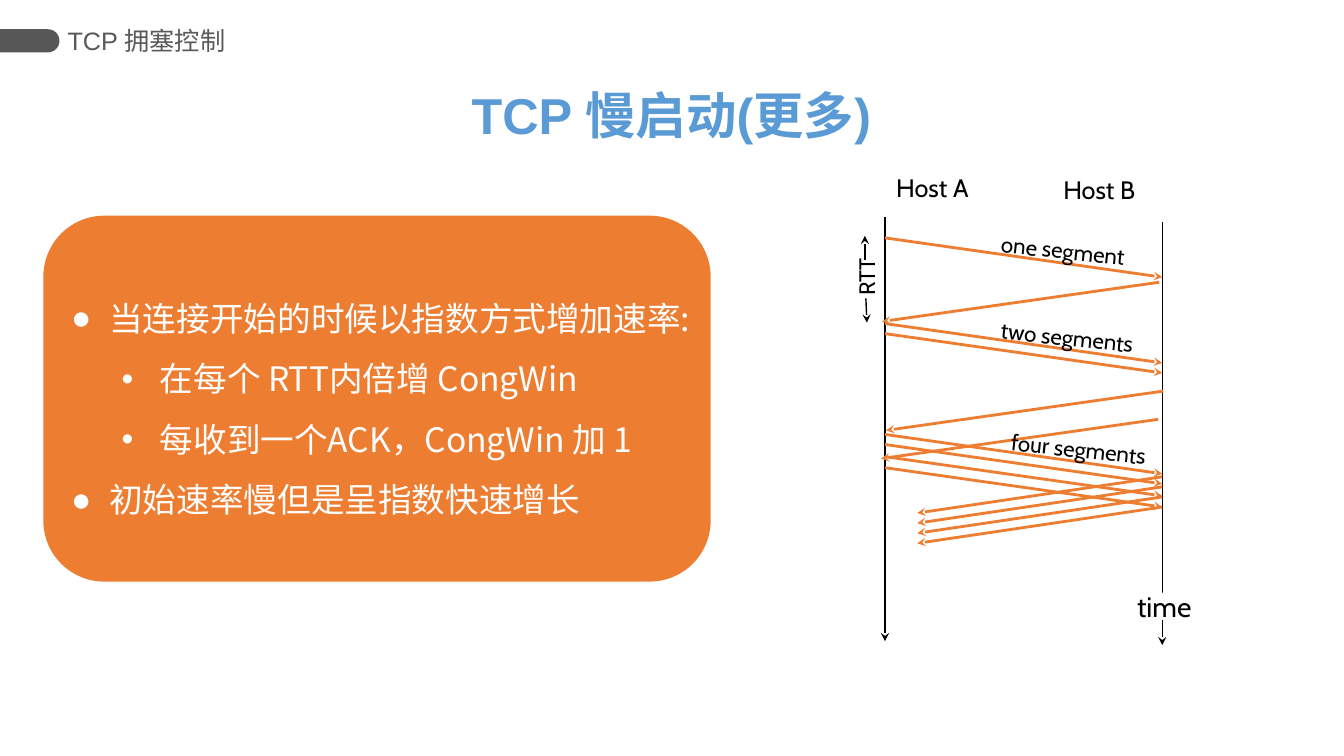
from dataclasses import dataclass

from lxml import etree
from pptx import Presentation
from pptx import util as u
from pptx.dml.color import RGBColor
from pptx.enum import shapes, text
from pptx.oxml import ns

# Grid: ten columns and ten rows to the inch
CELL = u.Inches(0.1)
COLUMNS, ROWS = 133.33, 75
HOST_A, HOST_B = 87.8, 115.3
SEGMENT_DROP, LAST_ACK_DROP = 3.9, 3.6

COLORS = {
    "pill": "575757", "header": "595959", "title": "5B9BD5",
    "accent": "ED7D31", "white": "FFFFFF", "black": "000000",
}


@dataclass
class Label:
    words: str
    left: float
    top: float
    width: float
    height: float
    size: int = 16
    rotation: int = 0


@dataclass
class Arrow:
    x1: float
    y1: float
    x2: float
    y2: float
    color: str = "accent"
    weight: float = 2


@dataclass
class Bullet:
    words: str
    mark: str = "●"
    level: int = 0
    margin: float = 0.38


def grid(cells: float) -> int:
    return round(cells * CELL)


def assign(target, values: dict) -> None:
    for name, value in values.items():
        setattr(target, name, value)


def place(shape, left: float, top: float, width: float, height: float) -> None:
    assign(shape, {"left": grid(left), "top": grid(top),
                   "width": grid(width), "height": grid(height)})


def style(font, name: str, size: int, color: str, bold: bool = False) -> None:
    assign(font, {"name": name, "size": u.Pt(size), "bold": bold})
    font.color.rgb = RGBColor.from_string(COLORS[color])


def add_block(page, preset, color: str, *bounds: float):
    block = page.shapes.add_shape(preset, *map(grid, bounds))
    block.shadow.inherit = False
    block.fill.solid()
    block.fill.fore_color.rgb = RGBColor.from_string(COLORS[color])
    block.line.fill.background()
    return block


def add_label(page, label: Label) -> None:
    box = page.shapes.add_textbox(*map(grid, (label.left, label.top, label.width, label.height)))
    box.rotation = label.rotation
    assign(box.text_frame, {"word_wrap": False, "auto_size": text.MSO_AUTO_SIZE.SHAPE_TO_FIT_TEXT})
    para = box.text_frame.paragraphs[0]
    para.alignment = text.PP_ALIGN.CENTER
    span = para.add_run()
    span.text = label.words
    style(span.font, "Cabin", label.size, "black")


def add_arrow(page, arrow: Arrow) -> None:
    line = page.shapes.add_connector(
        shapes.MSO_CONNECTOR.STRAIGHT, *map(grid, (arrow.x1, arrow.y1, arrow.x2, arrow.y2)))
    line.line.width = u.Pt(arrow.weight)
    line.line.color.rgb = RGBColor.from_string(COLORS[arrow.color])
    etree.SubElement(line.line._get_or_add_ln(), ns.qn("a:tailEnd"), type="stealth")
    etree.SubElement(line._element.spPr, ns.qn("a:effectLst"))


def add_bullet(para, bullet: Bullet) -> None:
    assign(para, {"level": bullet.level, "line_spacing": 1.5, "alignment": text.PP_ALIGN.LEFT})
    props = para._p.get_or_add_pPr()
    props.set("marL", str(u.Inches(bullet.margin)))
    props.set("indent", str(-u.Inches(0.38)))
    etree.SubElement(props, ns.qn("a:buFont"), typeface="Arial")
    etree.SubElement(props, ns.qn("a:buChar"), char=bullet.mark)
    span = para.add_run()
    span.text = bullet.words
    style(span.font, "Noto Sans CJK SC", 24, "white")
    etree.SubElement(span._r.get_or_add_rPr(), ns.qn("a:ea"), typeface="Noto Sans CJK SC")


BULLETS = [
    Bullet("当连接开始的时候以指数方式增加速率:"),
    Bullet("在每个 RTT内倍增 CongWin", "•", 1, 0.88),
    Bullet("每收到一个ACK，CongWin 加 1", "•", 1, 0.88),
    Bullet("初始速率慢但是呈指数快速增长"),
]
LABELS = [
    Label("Host A", 87.8, 16.6, 9.4, 4, 18),
    Label("Host B", 104.4, 16.8, 9.3, 4, 18),
    Label("one segment", 98, 23, 14.9, 3.7, rotation=6),
    Label("two segments", 97.9, 31.6, 15.9, 3.7, rotation=6),
    Label("four segments", 98.9, 42.7, 16.2, 3.7, rotation=6),
    Label("RTT", 83, 25.6, 5.9, 3.7, rotation=270),
]
TIME_LABEL = Label("time", 111.8, 58, 7.4, 4.4, 20)

# Time axes and the two RTT marks
AXES = [
    Arrow(HOST_A, 21.5, HOST_A, 63.6, "black", 1),
    Arrow(HOST_B, 22, HOST_B, 64, "black", 1),
    Arrow(85.8, 25.8, 85.8, 23.4, "black", 1),
    Arrow(85.9, 29.6, 86, 32, "black", 1),
]
# Segments run from A to B, acknowledgements back from B
SEGMENTS = [Arrow(HOST_A, row, HOST_B, row + SEGMENT_DROP)
            for row in (23.6, 32.1, 33.1, 43.1, 44.1, 45.3, 46.4)]
ACKS = [Arrow(HOST_B + shift, row, HOST_A + shift, row + SEGMENT_DROP)
        for shift, row in ((-0.3, 28), (0.1, 38.8), (-0.4, 41.6))]
LAST_ACKS = [Arrow(HOST_B, 47.3 + step, 91, 47.3 + step + LAST_ACK_DROP) for step in range(4)]


def main() -> None:
    deck = Presentation()
    assign(deck, {"slide_width": grid(COLUMNS), "slide_height": grid(ROWS)})
    page = deck.slides.add_slide(deck.slide_layouts[5])

    # Section header with its tab
    tab = add_block(page, shapes.MSO_SHAPE.ROUND_2_SAME_RECTANGLE, "pill", 1.8, 1.1, 2.3, 5.9)
    tab.adjustments[0] = 0.5
    tab.rotation = 90
    tab.left = grid(1.8)
    header = page.shapes.add_textbox(*map(grid, (6.7, 1.9, 23.3, 4.2)))
    assign(header.text_frame, {"word_wrap": True, "margin_left": 0, "margin_right": 0,
                               "vertical_anchor": text.MSO_ANCHOR.MIDDLE})
    header.text_frame.text = "TCP 拥塞控制"
    style(header.text_frame.paragraphs[0].runs[0].font, "Arial", 18, "header")

    # Title
    title = page.shapes.title
    place(title, 45.6, 7.8, 42, 7.1)
    title.text_frame.text = "TCP 慢启动(更多)"
    assign(title.text_frame, {"word_wrap": True, "vertical_anchor": text.MSO_ANCHOR.TOP,
                              "auto_size": text.MSO_AUTO_SIZE.SHAPE_TO_FIT_TEXT})
    title.text_frame.paragraphs[0].alignment = text.PP_ALIGN.CENTER
    style(title.text_frame.paragraphs[0].runs[0].font, "Arial", 36, "title", True)

    # Key points
    panel = add_block(page, shapes.MSO_SHAPE.ROUNDED_RECTANGLE, "accent", 4.3, 21.4, 66.2, 36.3)
    frame = panel.text_frame
    assign(frame, {"word_wrap": True, "vertical_anchor": text.MSO_ANCHOR.MIDDLE})
    for index, bullet in enumerate(BULLETS):
        add_bullet(frame.add_paragraph() if index else frame.paragraphs[0], bullet)

    # Sequence diagram
    for arrow in AXES + SEGMENTS + ACKS + LAST_ACKS:
        add_arrow(page, arrow)
    add_block(page, shapes.MSO_SHAPE.RECTANGLE, "white", 112.6, 58.8, 5.6, 2.7)
    for label in LABELS + [TIME_LABEL]:
        add_label(page, label)

    deck.save("out.pptx")


if __name__ == "__main__":
    main()
